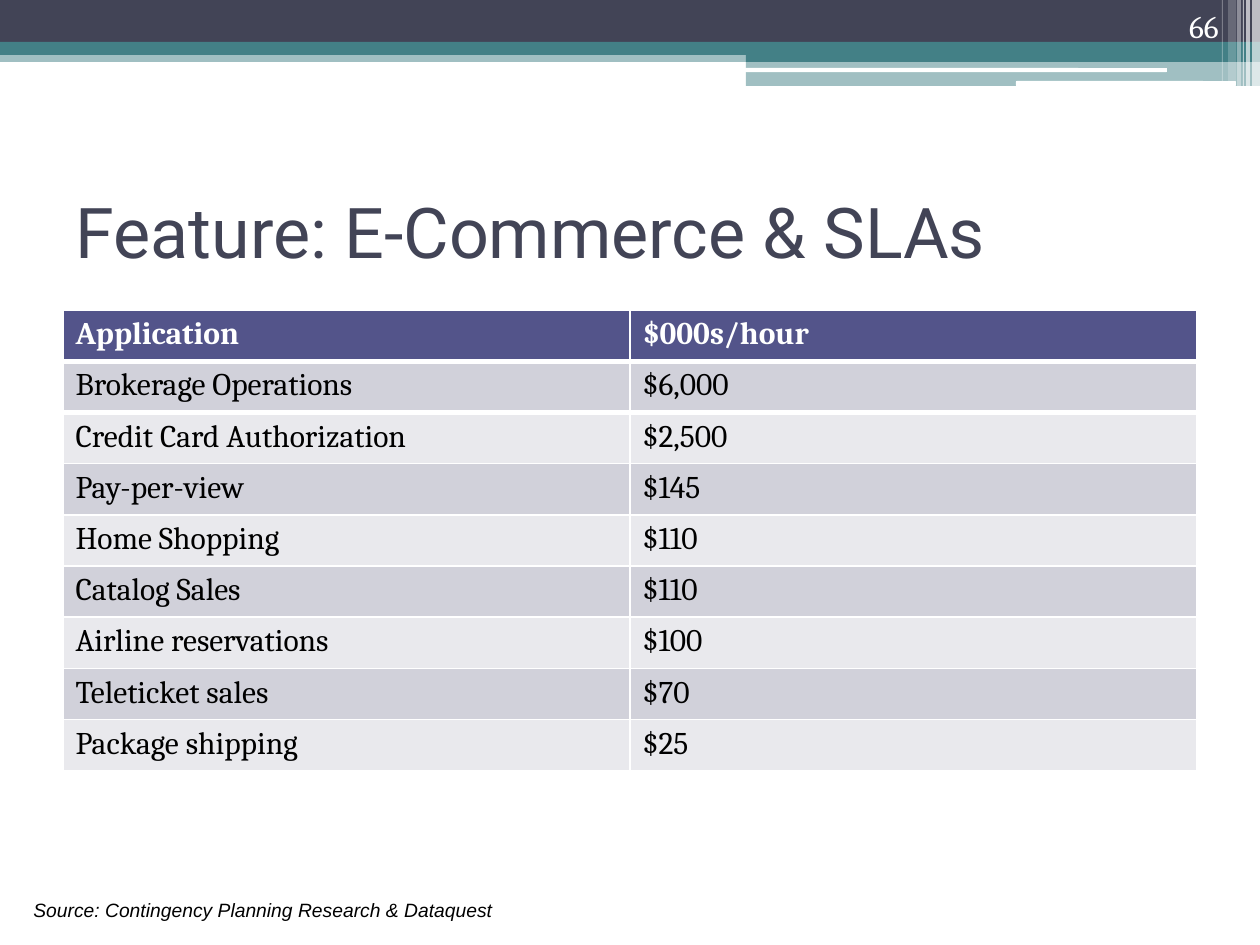
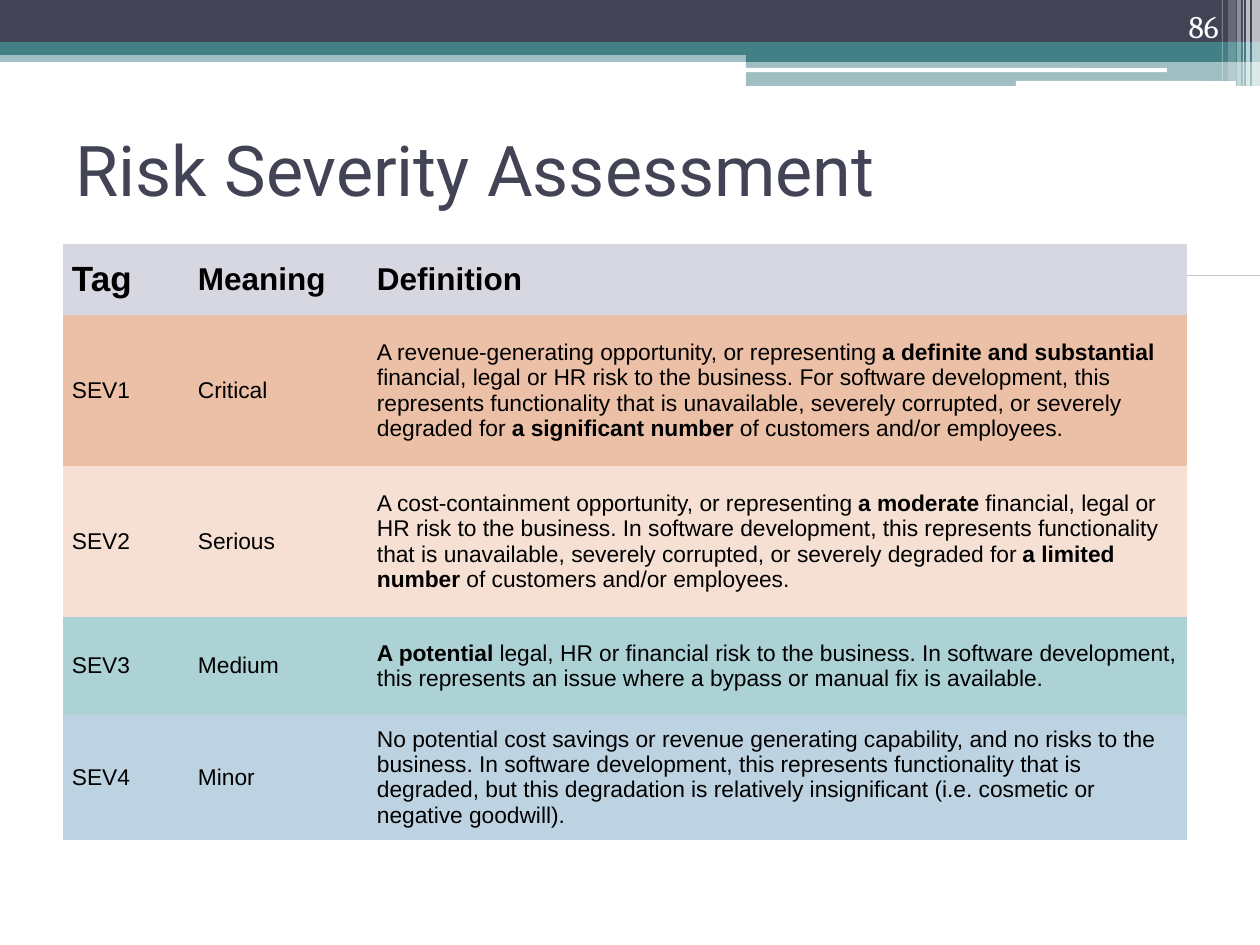
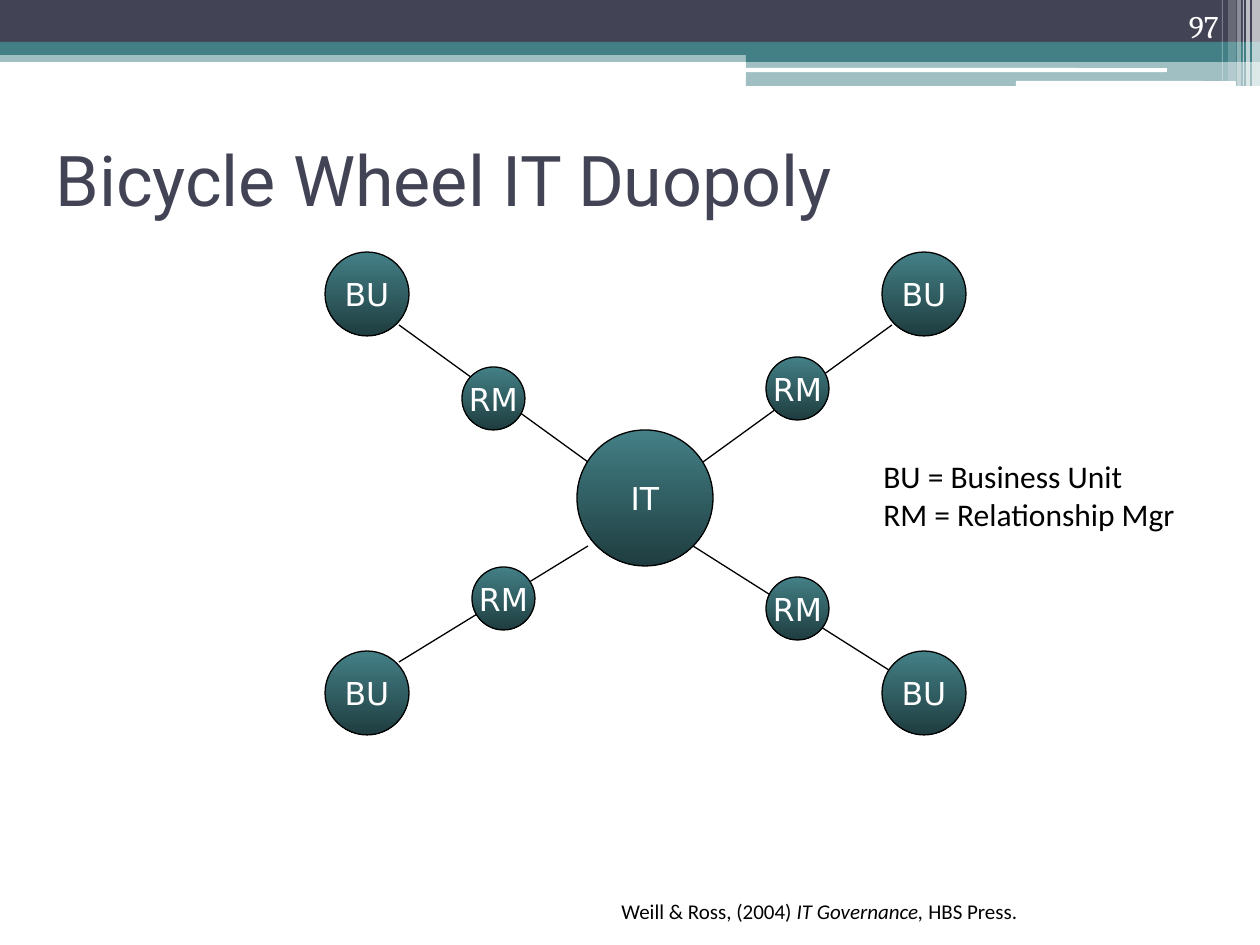
from lxml.etree import SubElement
from pptx import Presentation
from pptx.dml.color import RGBColor
from pptx.enum.shapes import MSO_CONNECTOR, MSO_SHAPE
from pptx.enum.text import MSO_ANCHOR as ANCHOR, MSO_AUTO_SIZE, PP_ALIGN as ALIGN
from pptx.oxml.ns import qn
from pptx.util import Emu, Pt

COLORS = {
    "navy": "424456", "teal": "438086", "deep_teal": "1F3D40",
    "white": "FFFFFF", "black": "000000", "hairline": "C4C6CE",
    "header": "53548A", "row_dark": "D1D1DA", "row_light": "E9E9ED",
    "tag_row": "D6D7E0", "critical": "EBC0A7", "serious": "F5E0D3",
    "medium": "ADD2D6", "minor": "BED3E1",
}
NO_GRID_STYLE = "{2D5ABB26-0587-4C30-8999-92F81FD0307C}"


def px(*lengths):
    return [Emu(round(length * 914400 / 126)) for length in lengths]


def write(frame, text, font="Arial", size=18, color="black", bold=False, italic=False,
          emphasis="bold", align=ALIGN.LEFT, anchor=ANCHOR.TOP, wrap=True):
    frame.word_wrap = wrap
    frame.auto_size = MSO_AUTO_SIZE.NONE
    frame.vertical_anchor = anchor
    for index, line in enumerate(text.split("\n")):
        paragraph = frame.add_paragraph() if index else frame.paragraphs[0]
        paragraph.alignment = align
        for part_index, part in enumerate(line.split("|")):
            if not part:
                continue
            run = paragraph.add_run()
            run.text = part
            run.font.name = font
            run.font.size = Pt(size)
            run.font.color.rgb = RGBColor.from_string(COLORS[color])
            run.font.bold = bold
            run.font.italic = italic
            if part_index % 2:
                setattr(run.font, emphasis, True)


presentation = Presentation()
presentation.slide_width, presentation.slide_height = px(1260, 945)
layout = presentation.slide_layouts[5]

pages = [
    ("Feature: E-Commerce & SLAs", "66", 63, 157),
    ("Risk Severity Assessment", "86", 63, 95),
    ("Bicycle Wheel IT Duopoly", "97", 43, 105),
]
slides = []
for title, number, left, top in pages:
    slide = presentation.slides.add_slide(layout)
    placeholder = slide.shapes.title
    placeholder.left, placeholder.top, placeholder.width, placeholder.height = px(left, top, 1134, 147)
    write(placeholder.text_frame, title, font="Roboto", size=40, color="navy", anchor=ANCHOR.MIDDLE)
    number_box = slide.shapes.add_textbox(*px(1126, 0, 105, 51))
    write(number_box.text_frame, number, font="Cambria", color="white",
          align=ALIGN.RIGHT, anchor=ANCHOR.BOTTOM)
    slides.append(slide)
cost_slide, severity_slide, wheel_slide = slides

bands = [
    (0, 50, 1260, 12, "teal", 50, MSO_SHAPE.RECTANGLE),
    (0, 0, 1260, 42, "navy", 100, MSO_SHAPE.RECTANGLE),
    (0, 42, 1260, 13, "teal", 100, MSO_SHAPE.RECTANGLE),
    (746, 49, 514, 13, "teal", 100, MSO_SHAPE.RECTANGLE),
    (746, 62, 514, 24, "teal", 50, MSO_SHAPE.RECTANGLE),
    (745, 68, 422, 4, "white", 100, MSO_SHAPE.ROUNDED_RECTANGLE),
    (1016, 81, 220, 5, "white", 100, MSO_SHAPE.ROUNDED_RECTANGLE),
    (1252, 0, 8, 86, "white", 65, MSO_SHAPE.RECTANGLE),
    (1246, 0, 4, 86, "white", 65, MSO_SHAPE.RECTANGLE),
    (1243, 0, 1, 86, "white", 60, MSO_SHAPE.RECTANGLE),
    (1237, 0, 4, 86, "white", 40, MSO_SHAPE.RECTANGLE),
    (1228, 0, 8, 81, "white", 20, MSO_SHAPE.RECTANGLE),
    (1222, 0, 1, 81, "white", 30, MSO_SHAPE.RECTANGLE),
]
for index, (left, top, width, height, color, opacity, kind) in enumerate(bands):
    band = cost_slide.shapes.add_shape(kind, *px(left, top, width, height))
    band.shadow.inherit = False
    band.line.fill.background()
    band.fill.solid()
    band.fill.fore_color.rgb = RGBColor.from_string(COLORS[color])
    if opacity < 100:
        rgb = band.fill._xPr.find(".//" + qn("a:srgbClr"))
        SubElement(rgb, qn("a:alpha"), val=str(opacity * 1000))
    band._element.nvSpPr.cNvPr.set("id", str(100 + index))
    layout.shapes._spTree.insert(2 + index, band._element)

lines = [
    (severity_slide, 232, 275, 1260, 275, "hairline", 0.25),
    (wheel_slide, 399, 325, 588, 462, "black", 0.75),
    (wheel_slide, 703, 462, 892, 325, "black", 0.75),
    (wheel_slide, 399, 662, 588, 546, "black", 0.75),
    (wheel_slide, 693, 546, 892, 672, "black", 0.75),
]
for slide, start_x, start_y, end_x, end_y, color, weight in lines:
    line = slide.shapes.add_connector(MSO_CONNECTOR.STRAIGHT, *px(start_x, start_y, end_x, end_y))
    line.line.color.rgb = RGBColor.from_string(COLORS[color])
    line.line.width = Pt(weight)
    SubElement(line._element.spPr, qn("a:effectLst"))

costs = [
    ("Application", "$000s/hour"),
    ("Brokerage Operations", "$6,000"),
    ("Credit Card Authorization", "$2,500"),
    ("Pay-per-view", "$145"),
    ("Home Shopping", "$110"),
    ("Catalog Sales", "$110"),
    ("Airline reservations", "$100"),
    ("Teleticket sales", "$70"),
    ("Package shipping", "$25"),
]
cost_table = cost_slide.shapes.add_table(len(costs), 2, *px(63, 310, 1134, 461)).table
for row, values in enumerate(costs):
    fill = "header" if row == 0 else "row_dark" if row % 2 else "row_light"
    for column, value in enumerate(values):
        cell = cost_table.cell(row, column)
        if row < 2:
            side = "a:lnT" if row else "a:lnB"
            border = SubElement(cell._tc.get_or_add_tcPr(), qn(side), w=str(Pt(3)))
            border_fill = SubElement(border, qn("a:solidFill"))
            SubElement(border_fill, qn("a:srgbClr"), val=COLORS["white"])
        cell.fill.solid()
        cell.fill.fore_color.rgb = RGBColor.from_string(COLORS[fill])
        write(cell.text_frame, value, font="Cambria", bold=row == 0,
              color="black" if row else "white")
source_box = cost_slide.shapes.add_textbox(*px(21, 892, 630, 37))
write(source_box.text_frame, "Source: Contingency Planning Research & Dataquest", size=11, italic=True)

severities = [
    ("tag_row", 71, "Tag", "Meaning", "Definition"),
    ("critical", 151, "SEV1", "Critical",
     "A revenue-generating opportunity, or representing |a definite and substantial |financial, "
     "legal or HR risk to the business. For software development, this represents functionality "
     "that is unavailable, severely corrupted, or severely degraded for |a significant number| "
     "of customers and/or employees."),
    ("serious", 151, "SEV2", "Serious",
     "A cost-containment opportunity, or representing |a moderate| financial, legal or HR risk to "
     "the business. In software development, this represents functionality that is unavailable, "
     "severely corrupted, or severely degraded for |a limited number| of customers and/or employees."),
    ("medium", 98, "SEV3", "Medium",
     "|A potential| legal, HR or financial risk to the business. In software development, this "
     "represents an issue where a bypass or manual fix is available."),
    ("minor", 125, "SEV4", "Minor",
     "No potential cost savings or revenue generating capability, and no risks to the business. "
     "In software development, this represents functionality that is degraded, but this degradation "
     "is relatively insignificant (i.e. cosmetic or negative goodwill)."),
]
severity_table = severity_slide.shapes.add_table(len(severities), 3, *px(63, 244, 1124, 596)).table
severity_table._tbl.tblPr.find(qn("a:tableStyleId")).text = NO_GRID_STYLE
for column, width in zip(severity_table.columns, px(126, 179, 819)):
    column.width = width
for row, (fill, height, *values) in enumerate(severities):
    severity_table.rows[row].height = px(height)[0]
    for column, value in enumerate(values):
        cell = severity_table.cell(row, column)
        cell.margin_left, cell.margin_right, cell.margin_top, cell.margin_bottom = px(9, 9, 9, 9)
        cell.fill.solid()
        cell.fill.fore_color.rgb = RGBColor.from_string(COLORS[fill])
        size = 13 if row else 18 if column else 20
        write(cell.text_frame, value, size=size, bold=row == 0)
        cell.vertical_anchor = ANCHOR.MIDDLE

nodes = [("IT", 577, 430, 136)]
nodes += [("BU", left, top, 84) for left in (325, 882) for top in (252, 651)]
nodes += [("RM", left, top, 63) for left, top in ((462, 367), (766, 357), (472, 567), (766, 577))]
for label, left, top, diameter in nodes:
    node = wheel_slide.shapes.add_shape(MSO_SHAPE.OVAL, *px(left, top, diameter, diameter))
    node.shadow.inherit = False
    node.fill.gradient()
    node.fill.gradient_angle = 270
    for stop, color in zip(node.fill.gradient_stops, ("teal", "deep_teal")):
        stop.color.rgb = RGBColor.from_string(COLORS[color])
    node.line.color.rgb = RGBColor.from_string(COLORS["black"])
    node.line.width = Pt(0.75)
    write(node.text_frame, label, font="DejaVu Sans", color="white",
          align=ALIGN.CENTER, anchor=ANCHOR.MIDDLE, wrap=False)

legend = wheel_slide.shapes.add_textbox(*px(871, 451, 389, 88))
write(legend.text_frame, "BU = Business Unit\nRM = Relationship Mgr", font="Calibri")
citation = wheel_slide.shapes.add_textbox(*px(609, 892, 474, 38))
write(citation.text_frame, "Weill & Ross, (2004) |IT Governance,| HBS Press.",
      font="Calibri", size=12, emphasis="italic")

presentation.save("out.pptx")
